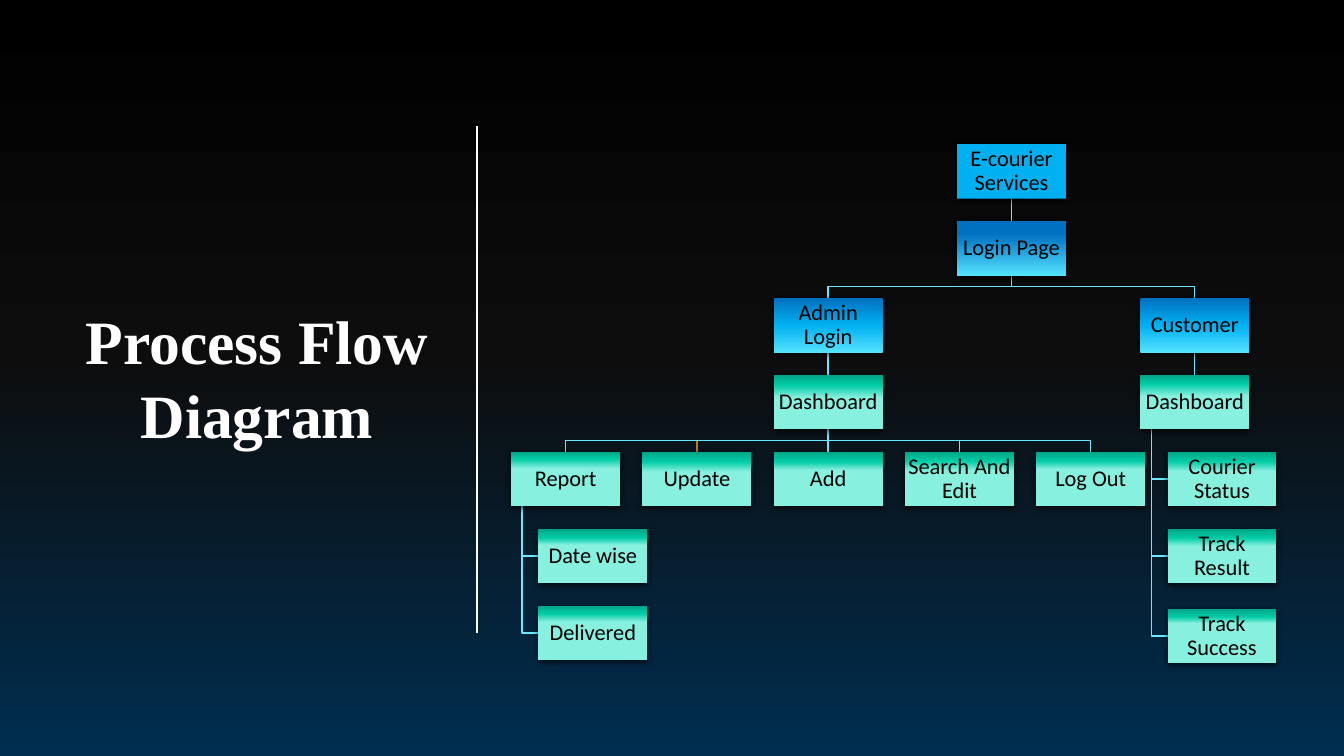
"""Build the process flow slide of an e-courier service as a tree of boxes."""
from lxml import etree
from pptx import Presentation
from pptx.dml.color import RGBColor
from pptx.enum.shapes import MSO_CONNECTOR, MSO_SHAPE
from pptx.enum.text import MSO_ANCHOR, PP_ALIGN
from pptx.oxml.ns import qn
from pptx.util import Inches, Pt

STRAIGHT = MSO_CONNECTOR.STRAIGHT
RECTANGLE = MSO_SHAPE.RECTANGLE
MIDDLE = MSO_ANCHOR.MIDDLE
CENTER = PP_ALIGN.CENTER

LEFT, TOP = Inches(5.07), Inches(1.43)
COLUMN, ROW = Inches(6.51) / 5, Inches(4.58) / 6
WIDTH, HEIGHT = Inches(1.08), Inches(0.54)
INDENT = WIDTH / 4 / COLUMN
CUSTOMER = 5 - INDENT
ROOT = (2 + CUSTOMER) / 2
SKY, ORANGE, WHITE, BLACK = "6DE7FF", "C17529", "FFFFFF", "000000"
LOGIN_BLUE = [(0, "0070C0"), (23, "0070C0"), (100, "53E2FF")]
ROLE_BLUE = [(0, "0070C0"), (50, "00B0F0"), (100, "53E2FF")]


def paint(fill, *stops, element=None, angle=270):
    """Fill with one hex colour, or with (percent, hex) gradient stops."""
    if element is None:
        fill.solid()
        fill.fore_color.rgb = RGBColor.from_string(stops[0])
        return
    fill.gradient()
    fill.gradient_angle = angle
    stop_list = next(element.iter(qn("a:gsLst")))
    for old_stop in list(stop_list):
        stop_list.remove(old_stop)
    for percent, colour in stops:
        stop = etree.SubElement(stop_list, qn("a:gs"), pos=str(percent * 1000))
        etree.SubElement(stop, qn("a:srgbClr"), val=colour)


def green(middle, end):
    """Return the green gradient with its two inner stops."""
    return [(0, "00A485"), (middle, "00CCA5"), (end, "88F0DF")]


# name: (text, parent, column, row, fill)
boxes = {
    "root": ("E-courier Services", None, ROOT, 0, ["00B0F0"]),
    "login": ("Login Page", "root", ROOT, 1, LOGIN_BLUE),
    "admin": ("Admin Login", "login", 2, 2, ROLE_BLUE),
    "admin board": ("Dashboard", "admin", 2, 3, green(19, 42)),
    "report": ("Report", "admin board", 0, 4, green(13, 31)),
    "date": ("Date wise", "report", INDENT, 5, green(17, 30)),
    "delivered": ("Delivered", "report", INDENT, 6, green(15, 30)),
    "update": ("Update", "admin board", 1, 4, green(18, 37)),
    "add": ("Add", "admin board", 2, 4, green(18, 34)),
    "search": ("Search And Edit", "admin board", 3, 4, green(17, 35)),
    "log out": ("Log Out", "admin board", 4, 4, green(17, 32)),
    "customer": ("Customer", "login", CUSTOMER, 2, ROLE_BLUE),
    "customer board": ("Dashboard", "customer", CUSTOMER, 3, green(17, 39)),
    "status": ("Courier Status", "customer board", 5, 4, green(18, 36)),
    "result": ("Track Result", "customer board", 5, 5, green(17, 32)),
    "success": ("Track Success", "customer board", 5, 6.04, green(15, 27)),
}
hanging_parents = {"report", "customer board"}

presentation = Presentation()
presentation.slide_width = Inches(13.33)
presentation.slide_height = Inches(7.5)
slide = presentation.slides.add_slide(presentation.slide_layouts[6])
shapes = slide.shapes
paint(slide.background.fill, (0, "002E50"), (53, "0D0D0D"), (100, BLACK),
      element=slide.element, angle=90)

lines = []
for name, (text, parent, column, row, stops) in reversed(boxes.items()):
    if parent is None:
        continue
    parent_column, parent_row = boxes[parent][2:4]
    left, top = round(LEFT + column * COLUMN), round(TOP + row * ROW)
    parent_left = round(LEFT + parent_column * COLUMN)
    start_y = round(TOP + parent_row * ROW + HEIGHT)
    if parent in hanging_parents:
        start_x = parent_left + WIDTH // 10
        end_y = top + HEIGHT // 2
        corners = [(start_x, end_y), (left, end_y)]
    else:
        start_x, end_x = parent_left + WIDTH // 2, left + WIDTH // 2
        middle_y = (start_y + top) // 2
        corners = [(start_x, middle_y), (end_x, middle_y), (end_x, top)]
    if column == parent_column:
        link = shapes.add_connector(STRAIGHT, start_x, start_y, start_x, top)
    else:
        builder = shapes.build_freeform(start_x, start_y)
        builder.add_line_segments(corners, close=False)
        link = builder.convert_to_shape()
        link.fill.background()
    lines.append((link, ORANGE if name == "update" else SKY, 1))

for text, parent, column, row, stops in boxes.values():
    box = shapes.add_shape(RECTANGLE, round(LEFT + column * COLUMN),
                           round(TOP + row * ROW), WIDTH, HEIGHT)
    paint(box.fill, *stops, element=box.element if len(stops) > 1 else None)
    box.line.fill.background()
    box.shadow.inherit = False
    effects = next(box.element.iter(qn("a:effectLst")))
    shadow = etree.SubElement(effects, qn("a:outerShdw"), blurRad=str(Pt(4.5)),
                              dist=str(Pt(1.5)), dir="5400000",
                              algn="ctr", rotWithShape="0")
    shadow_colour = etree.SubElement(shadow, qn("a:srgbClr"), val=BLACK)
    etree.SubElement(shadow_colour, qn("a:alpha"), val="63000")
    frame = box.text_frame
    frame.text = text
    frame.word_wrap = True
    frame.vertical_anchor = MIDDLE
    frame.margin_left = frame.margin_right = Inches(0.01)
    frame.margin_top = frame.margin_bottom = Inches(0.01)
    paragraph = frame.paragraphs[0]
    paragraph.alignment = CENTER
    paragraph.line_spacing = 0.9
    font = paragraph.runs[0].font
    font.name, font.size = "Calibri", Pt(16)
    paint(font.fill, BLACK)

divider = shapes.add_connector(STRAIGHT, Inches(4.73), Inches(1.25),
                               Inches(4.73), Inches(6.28))
lines.append((divider, WHITE, 1.5))
for line, colour, width in lines:
    paint(line.line.fill, colour)
    line.line.width = Pt(width)
    etree.SubElement(line.element.spPr, qn("a:effectLst"))

title = shapes.add_textbox(Inches(0.7), Inches(2.96), Inches(3.7), Inches(1.58))
title.text_frame.word_wrap = True
title.text_frame.text = "Process Flow\nDiagram"
for paragraph in title.text_frame.paragraphs:
    paragraph.alignment = CENTER
    font = paragraph.runs[0].font
    font.name, font.size, font.bold = "Times New Roman", Pt(44), True
    paint(font.fill, WHITE)

presentation.save("out.pptx")
